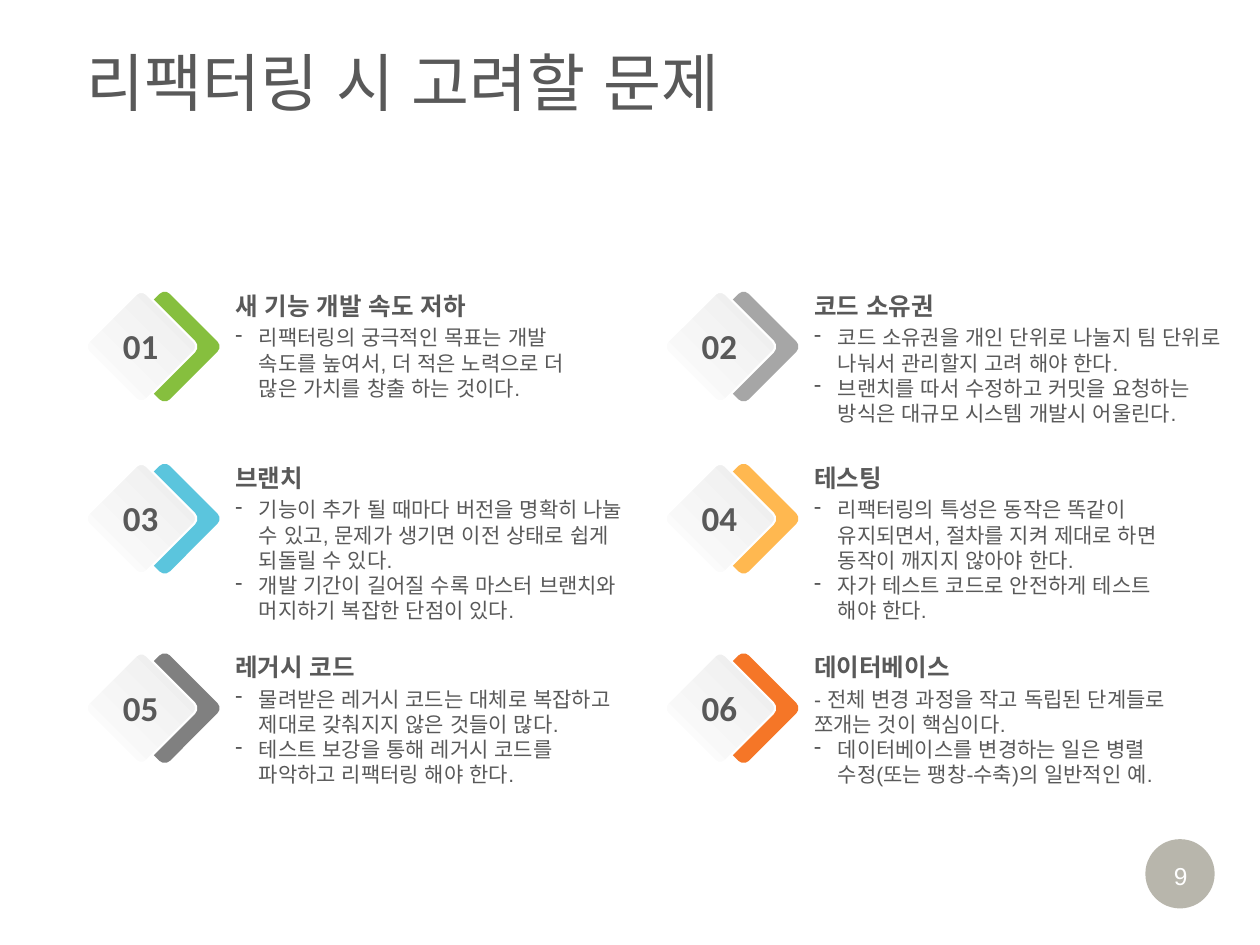
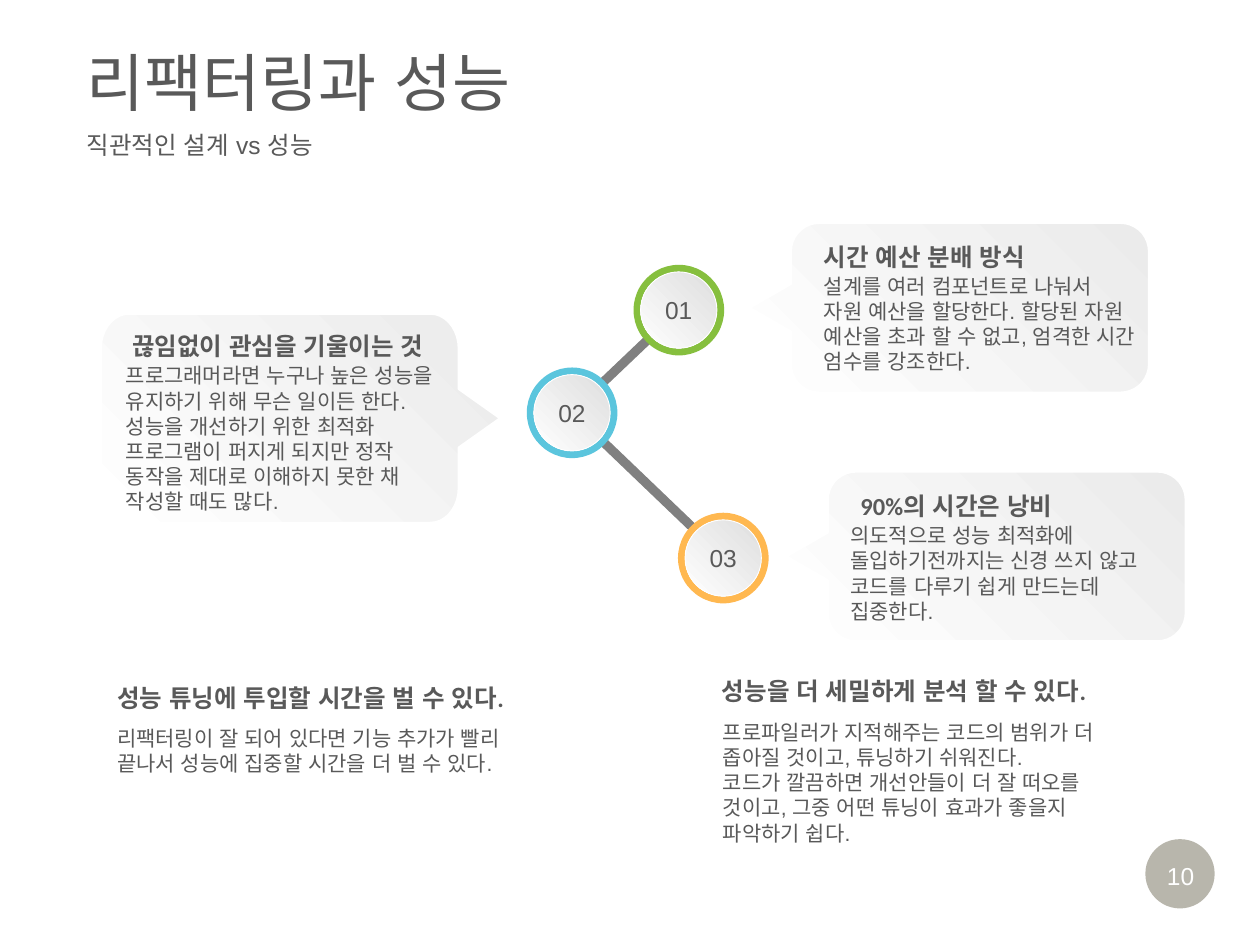
from math import cos, radians, sin

from lxml import etree
from pptx import Presentation
from pptx import util as u
from pptx.dml.color import RGBColor
from pptx.enum import lang, shapes, text
from pptx.oxml.ns import qn

Pt = u.Pt
Kind = shapes.MSO_SHAPE


class Theme:
    ink, white, badge = "595959", "FFFFFF", "4A452A"
    pale, shade, rod = "EBEBEB", "DEDEDE", "808080"
    green, silver, blue = "86BF3E", "A6A6A6", "5BC5DD"
    amber, gray, orange = "FFB850", "808080", "F57627"
    title = {"size": Pt(36), "name": "Calibri", "bold": False}
    number = {"size": Pt(20), "name": "Calibri", "bold": True}
    head = {"size": Pt(14), "name": "Calibri", "bold": True}
    label = {"size": Pt(14), "name": "Arial", "bold": False}
    body = {"size": Pt(12), "name": "Arial", "bold": False}


def write(frame, lines, style, color=Theme.ink, align="LEFT", anchor="TOP", wrap=True, dash=False):
    """Fill a text frame; with dash, lines that lack a typed "- " get a dash bullet."""
    frame.word_wrap = wrap
    frame.vertical_anchor = text.MSO_ANCHOR[anchor]
    for i, line in enumerate(lines):
        para = frame.paragraphs[0] if i == 0 else frame.add_paragraph()
        para.alignment = text.PP_ALIGN[align]
        if dash and not line.startswith("- "):
            props = para._p.get_or_add_pPr()
            props.set("marL", str(Pt(13.5)))
            props.set("indent", str(-Pt(13.5)))
            etree.SubElement(props, qn("a:buChar")).set("char", "-")
        run = para.add_run()
        run.text = line
        run.font.language_id = lang.MSO_LANGUAGE_ID.KOREAN
        for key, value in style.items():
            setattr(run.font, key, value)
        run.font.color.rgb = RGBColor.from_string(color)


def paint(shape, colors, angle=0, edge=None):
    """Fill with one colour, or two as a gradient (clockwise angle), with an optional white edge."""
    shape.shadow.inherit = False
    if len(colors) == 1:
        shape.fill.solid()
        shape.fill.fore_color.rgb = RGBColor.from_string(colors[0])
    else:
        shape.fill.gradient()
        shape.fill.gradient_angle = 360 - angle
        for stop, color, place in zip(shape.fill.gradient_stops, colors, (0, 1)):
            stop.color.rgb = RGBColor.from_string(color)
            stop.position = place
    if edge:
        shape.line.width = Pt(edge)
        shape.line.color.rgb = RGBColor.from_string(Theme.white)
    else:
        shape.line.fill.background()


deck = Presentation()
deck.slide_width, deck.slide_height = Pt(720), Pt(540)

# Shared title and page badge
pages = []
for page, title in ((9, "리팩터링 시 고려할 문제"), (10, "리팩터링과 성능")):
    slide = deck.slides.add_slide(deck.slide_layouts[6])
    pages.append(slide)
    disc = slide.shapes.add_shape(Kind.OVAL, Pt(654.5), Pt(479.5), Pt(39.6), Pt(39.6))
    paint(disc, [Theme.badge])
    tint = disc.fill._xPr.find(".//" + qn("a:srgbClr"))
    etree.SubElement(tint, qn("a:alpha")).set("val", "39000")
    box = slide.shapes.add_textbox(Pt(658.8), Pt(488.2), Pt(31.7), Pt(24.5))
    write(box.text_frame, [str(page)], Theme.label, Theme.white, "CENTER", wrap=False)
    box = slide.shapes.add_textbox(Pt(42.5), Pt(21), Pt(677.5), Pt(51))
    write(box.text_frame, [title], Theme.title, anchor="MIDDLE")

# Six issues in two columns
issues, perf = pages
cards = [
    (Theme.green, 227, "새 기능 개발 속도 저하", [
        "리팩터링의 궁극적인 목표는 개발 속도를 높여서, 더 적은 노력으로 더 많은 가치를 창출 하는 것이다."]),
    (Theme.silver, 253.5, "코드 소유권", [
        "코드 소유권을 개인 단위로 나눌지 팀 단위로 나눠서 관리할지 고려 해야 한다.",
        "브랜치를 따서 수정하고 커밋을 요청하는 방식은 대규모 시스템 개발시 어울린다."]),
    (Theme.blue, 248.5, "브랜치", [
        "기능이 추가 될 때마다 버전을 명확히 나눌 수 있고, 문제가 생기면 이전 상태로 쉽게 되돌릴 수 있다.",
        "개발 기간이 길어질 수록 마스터 브랜치와 머지하기 복잡한 단점이 있다."]),
    (Theme.amber, 227, "테스팅", [
        "리팩터링의 특성은 동작은 똑같이 유지되면서, 절차를 지켜 제대로 하면 동작이 깨지지 않아야 한다.",
        "자가 테스트 코드로 안전하게 테스트 해야 한다."]),
    (Theme.gray, 235.5, "레거시 코드", [
        "물려받은 레거시 코드는 대체로 복잡하고 제대로 갖춰지지 않은 것들이 많다.",
        "테스트 보강을 통해 레거시 코드를 파악하고 리팩터링 해야 한다."]),
    (Theme.orange, 227, "데이터베이스", [
        "- 전체 변경 과정을 작고 독립된 단계들로 쪼개는 것이 핵심이다.",
        "데이터베이스를 변경하는 일은 병렬 수정(또는 팽창-수축)의 일반적인 예."]),
]
rows = (174.7, 273, 381.3)
for i, (color, width, head, lines) in enumerate(cards):
    x, y = 57.4 + 330.8 * (i % 2), rows[i // 2]
    for dx, colors, edge in ((13.3, [color], None), (0, [Theme.pale, Theme.white], 1.25)):
        tile = issues.shapes.add_shape(Kind.ROUNDED_RECTANGLE, Pt(x + dx), Pt(y), Pt(46.8), Pt(46.8))
        tile.adjustments[0] = 0.09
        tile.rotation = 45
        paint(tile, colors, 90, edge)
    for dx, dy, w, h, words, style, more in (
        (5.3, 7.4, 35.3, 31.7, [f"{i + 1:02}"], Theme.number, {"align": "CENTER"}),
        (70, -12.1, 227, 24.5, [head], Theme.head, {}),
        (70, 7.4, width, 80, lines, Theme.body, {"dash": True}),
    ):
        box = issues.shapes.add_textbox(Pt(x + dx), Pt(y + dy), Pt(w), Pt(h))
        write(box.text_frame, words, style, **more)

# Performance: subtitle and linked steps
box = perf.shapes.add_textbox(Pt(42.5), Pt(71.3), Pt(677.5), Pt(22.3))
write(box.text_frame, ["직관적인 설계 vs 성능"], Theme.label, anchor="MIDDLE")
for ends in ((342.7, 250.6, 395.3, 301), (342.7, 220.3, 372.2, 192.2)):
    rod = perf.shapes.add_connector(shapes.MSO_CONNECTOR.STRAIGHT, *map(Pt, ends))
    rod.line.width = Pt(5.25)
    rod.line.color.rgb = RGBColor.from_string(Theme.rod)
    etree.SubElement(rod._element.spPr, qn("a:effectLst"))
steps = ((362, 151.3, Theme.green), (301, 210, Theme.blue), (387.4, 293, Theme.amber))
for i, (x, y, color) in enumerate(steps, 1):
    ring = perf.shapes.add_shape(Kind.OVAL, Pt(x), Pt(y), Pt(51.8), Pt(51.8))
    paint(ring, [color])
    disc = perf.shapes.add_shape(Kind.OVAL, Pt(x + 4.1), Pt(y + 4.1), Pt(43.6), Pt(43.6))
    paint(disc, [Theme.shade, Theme.white], 135, 0.5)
    write(disc.text_frame, [f"{i:02}"], Theme.label, align="CENTER", anchor="MIDDLE", wrap=False)

# Speech bubbles, drawn with a left tip and flipped when it points right
wide, rx, tip = 204.6, 16.2, 23.6
for left, top, high, flip in ((452, 127.4, 97, False), (473, 269.5, 97, False), (57.6, 179.3, 119.5, True)):
    ry = high / 6
    dots = [(-tip, high / 2), (0, high * 0.36)]
    for cx, cy, start in ((rx, ry, 180), (wide - rx, ry, 270), (wide - rx, high - ry, 0), (rx, high - ry, 90)):
        for turn in range(start, start + 91, 10):
            dots.append((cx + rx * cos(radians(turn)), cy + ry * sin(radians(turn))))
    dots.append((0, high * 0.64))
    dots = [(Pt(left + (wide - x if flip else x)), Pt(top + y)) for x, y in dots]
    pen = perf.shapes.build_freeform(*dots[0])
    pen.add_line_segments(dots[1:], close=True)
    paint(pen.convert_to_shape(), [Theme.pale, Theme.white], 135, 1.25)

# Heading place, body place, width, heading, body lines
notes = [
    (463.7, 134.6, 463.7, 152.6, 193, "시간 예산 분배 방식", [
        "설계를 여러 컴포넌트로 나눠서 자원 예산을 할당한다. 할당된 자원 예산을 초과 할 수 없고, 엄격한 시간 엄수를 강조한다."]),
    (484.6, 277.2, 478.8, 295.2, 193, "90%의 시간은 낭비", [
        "의도적으로 성능 최적화에 돌입하기전까지는 신경 쓰지 않고 코드를 다루기 쉽게 만드는데 집중한다."]),
    (68.4, 185.8, 64.8, 203.8, 193, "끊임없이 관심을 기울이는 것", [
        "프로그래머라면 누구나 높은 성능을 유지하기 위해 무슨 일이든 한다. 성능을 개선하기 위한 최적화 "
        "프로그램이 퍼지게 되지만 정작 동작을 제대로 이해하지 못한 채 작성할 때도 많다."]),
    (59.8, 386.6, 59.8, 411.1, 242, "성능 튜닝에 투입할 시간을 벌 수 있다.", [
        "리팩터링이 잘 되어 있다면 기능 추가가 빨리 끝나서 성능에 집중할 시간을 더 벌 수 있다."]),
    (405.4, 383, 406, 407.5, 238.3, "성능을 더 세밀하게 분석 할 수 있다.", [
        "프로파일러가 지적해주는 코드의 범위가 더 좁아질 것이고, 튜닝하기 쉬워진다.",
        "코드가 깔끔하면 개선안들이 더 잘 떠오를 것이고, 그중 어떤 튜닝이 효과가 좋을지 파악하기 쉽다."]),
]
for hx, hy, bx, by, width, head, lines in notes:
    for x, y, h, words, style in ((hx, hy, 24.5, [head], Theme.head), (bx, by, 80, lines, Theme.body)):
        box = perf.shapes.add_textbox(Pt(x), Pt(y), Pt(width), Pt(h))
        write(box.text_frame, words, style)

deck.save("out.pptx")
